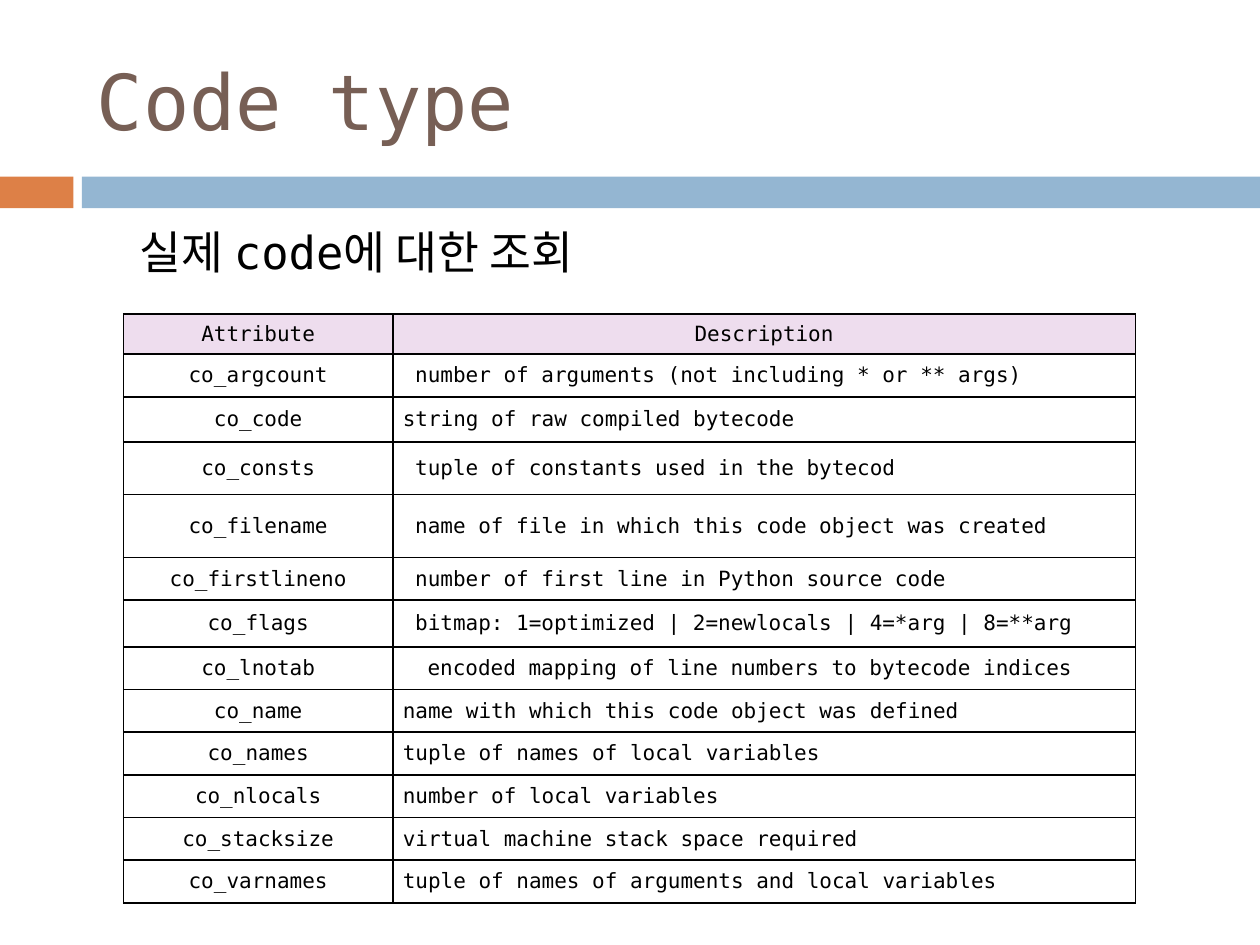
from dataclasses import dataclass

import pptx
import pptx.dml.color
import pptx.enum.shapes
import pptx.enum.text
import pptx.oxml
import pptx.oxml.ns
import pptx.util

Cm = pptx.util.Cm
Pt = pptx.util.Pt
RGBColor = pptx.dml.color.RGBColor
PP_ALIGN = pptx.enum.text.PP_ALIGN
MIDDLE = pptx.enum.text.MSO_ANCHOR.MIDDLE

FONT = "DejaVu Sans Mono"
ORANGE = RGBColor(0xDD, 0x80, 0x47)
BLUE = RGBColor(0x94, 0xB6, 0xD2)
BROWN = RGBColor(0x77, 0x5F, 0x55)
LILAC = RGBColor(0xEE, 0xDD, 0xEE)
BLACK = RGBColor(0, 0, 0)
WHITE = RGBColor(0xFF, 0xFF, 0xFF)

SLIDE_WIDTH, SLIDE_HEIGHT = 25.4, 19.05
COLUMN_WIDTHS = (5.43, 14.97)
CELL_MARGIN = 0.03
DESCRIPTION_MARGIN = 0.2
INDENT_STEP = 0.25


@dataclass
class Band:
    left: float
    width: float
    color: RGBColor


@dataclass
class AttributeRow:
    name: str
    description: str
    height: float = 0.86
    indent: int = 0


BANDS = [Band(0, 1.48, ORANGE), Band(1.65, SLIDE_WIDTH - 1.65, BLUE)]
HEADER = AttributeRow("Attribute", "Description", 0.81)
ROWS = [
    AttributeRow("co_argcount", "number of arguments (not including * or ** args)", indent=1),
    AttributeRow("co_code", "string of raw compiled bytecode", 0.91),
    AttributeRow("co_consts", "tuple of constants used in the bytecod", 1.06, 1),
    AttributeRow("co_filename", "name of file in which this code object was created", 1.27, 1),
    AttributeRow("co_firstlineno", "number of first line in Python source code", indent=1),
    AttributeRow("co_flags", "bitmap: 1=optimized | 2=newlocals | 4=*arg | 8=**arg", 0.94, 1),
    AttributeRow("co_lnotab", "encoded mapping of line numbers to bytecode indices", indent=2),
    AttributeRow("co_name", "name with which this code object was defined"),
    AttributeRow("co_names", "tuple of names of local variables"),
    AttributeRow("co_nlocals", "number of local variables"),
    AttributeRow("co_stacksize", "virtual machine stack space required"),
    AttributeRow("co_varnames", "tuple of names of arguments and local variables"),
]


def write_text(text_frame, text: str, size: float, color: RGBColor, alignment=PP_ALIGN.LEFT) -> None:
    text_frame.text = text
    paragraph = text_frame.paragraphs[0]
    paragraph.alignment = alignment
    for run in paragraph.runs:
        run.font.name = FONT
        run.font.size = Pt(size)
        run.font.bold = False
        run.font.color.rgb = color


def add_band(slide, band: Band) -> None:
    shape = slide.shapes.add_shape(
        pptx.enum.shapes.MSO_SHAPE.RECTANGLE, Cm(band.left), Cm(3.56), Cm(band.width), Cm(0.64))
    shape.shadow.inherit = False
    shape.fill.solid()
    shape.fill.fore_color.rgb = band.color
    shape.line.fill.background()


def add_borders(cell) -> None:
    properties = cell._tc.get_or_add_tcPr()
    for position, side in enumerate(("lnL", "lnR", "lnT", "lnB")):
        border = pptx.oxml.parse_xml(
            f'<a:{side} {pptx.oxml.ns.nsdecls("a")} w="{Pt(1)}"><a:solidFill>'
            f'<a:srgbClr val="{BLACK}"/></a:solidFill></a:{side}>')
        properties.insert(position, border)


def fill_cell(cell, text: str, fill: RGBColor, alignment, left_margin: float) -> None:
    cell.vertical_anchor = MIDDLE
    cell.margin_left = Cm(left_margin)
    cell.margin_right = cell.margin_top = cell.margin_bottom = Cm(CELL_MARGIN)
    cell.fill.solid()
    cell.fill.fore_color.rgb = fill
    add_borders(cell)
    write_text(cell.text_frame, text, 12, BLACK, alignment)


def add_attribute_table(slide) -> None:
    rows = [HEADER, *ROWS]
    table = slide.shapes.add_table(
        len(rows), len(COLUMN_WIDTHS), Cm(2.49), Cm(6.33),
        Cm(sum(COLUMN_WIDTHS)), Cm(sum(row.height for row in rows))).table
    table.first_row = table.horz_banding = False
    for column, width in zip(table.columns, COLUMN_WIDTHS):
        column.width = Cm(width)
    for index, row in enumerate(rows):
        table.rows[index].height = Cm(row.height)
        is_header = row is HEADER
        fill = LILAC if is_header else WHITE
        fill_cell(table.cell(index, 0), row.name, fill, PP_ALIGN.CENTER, CELL_MARGIN)
        if is_header:
            alignment, margin = PP_ALIGN.CENTER, CELL_MARGIN
        else:
            alignment, margin = PP_ALIGN.LEFT, DESCRIPTION_MARGIN + row.indent * INDENT_STEP
        fill_cell(table.cell(index, 1), row.description, fill, alignment, margin)


def main() -> None:
    presentation = pptx.Presentation()
    presentation.slide_width = Cm(SLIDE_WIDTH)
    presentation.slide_height = Cm(SLIDE_HEIGHT)
    slide = presentation.slides.add_slide(presentation.slide_layouts.get_by_name("Title Only"))

    for band in BANDS:
        add_band(slide, band)

    title = slide.shapes.title
    title.left, title.top, title.width, title.height = Cm(1.7), Cm(0.64), Cm(22.66), Cm(2.74)
    title.text_frame.vertical_anchor = MIDDLE
    write_text(title.text_frame, "Code type", 44, BROWN)

    subtitle = slide.shapes.add_textbox(Cm(2.57), Cm(4.4), Cm(21.59), Cm(1.6))
    subtitle.text_frame.word_wrap = True
    write_text(subtitle.text_frame, "실제 code에 대한 조회", 26, BLACK)

    add_attribute_table(slide)
    presentation.save("out.pptx")


if __name__ == "__main__":
    main()
